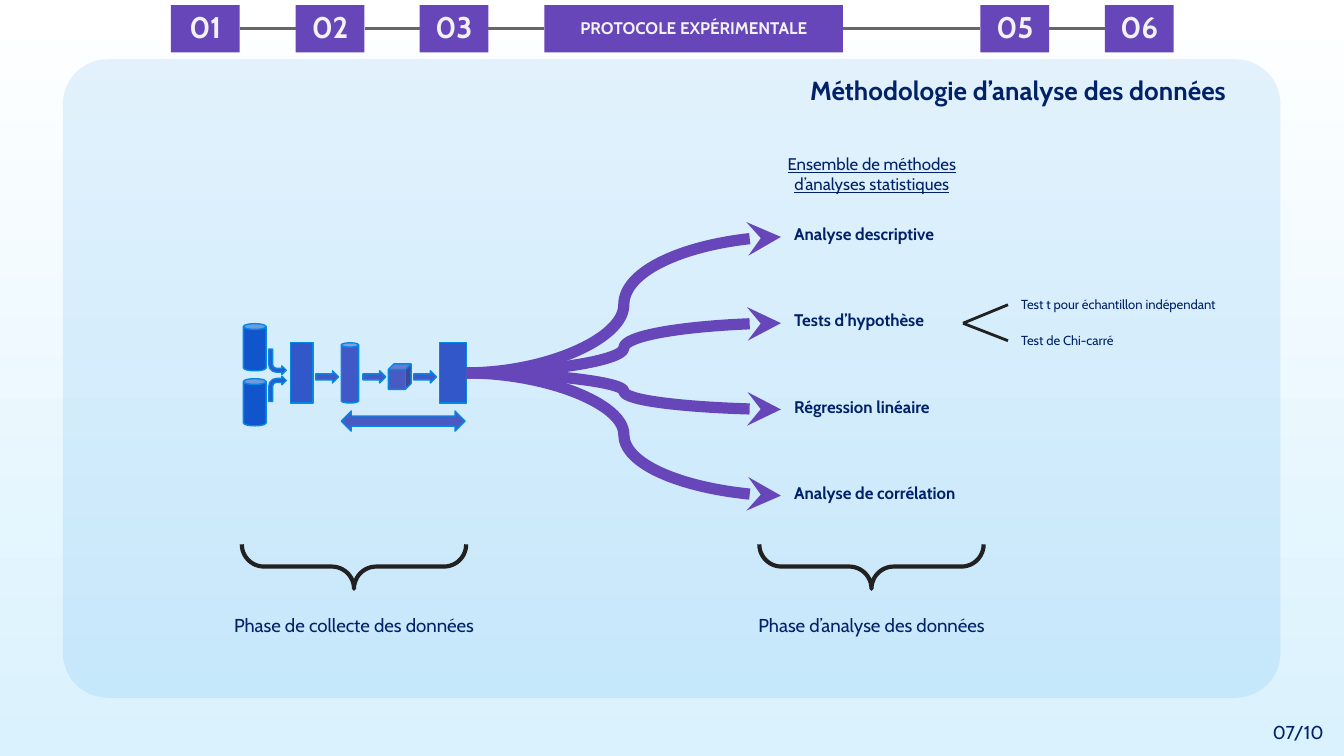
from lxml import etree
from pptx import Presentation
from pptx.dml.color import RGBColor
from pptx.enum.shapes import MSO_CONNECTOR, MSO_SHAPE
from pptx.enum.text import MSO_ANCHOR, PP_ALIGN
from pptx.oxml.ns import qn
from pptx.util import Cm, Pt

STRAIGHT, CURVE = MSO_CONNECTOR.STRAIGHT, MSO_CONNECTOR.CURVE
RECT, CAN, CUBE = MSO_SHAPE.RECTANGLE, MSO_SHAPE.CAN, MSO_SHAPE.CUBE
ROUNDED, BRACE = MSO_SHAPE.ROUNDED_RECTANGLE, MSO_SHAPE.RIGHT_BRACE
BENT, ARROW, DOUBLE = MSO_SHAPE.BENT_ARROW, MSO_SHAPE.RIGHT_ARROW, MSO_SHAPE.LEFT_RIGHT_ARROW
LEFT, CENTER = PP_ALIGN.LEFT, PP_ALIGN.CENTER
TOP, MIDDLE = MSO_ANCHOR.TOP, MSO_ANCHOR.MIDDLE
NAVY, PURPLE, BLACK, GREY = "012169", "6746B9", "212121", "666666"
BLUE, INDIGO, VIOLET = "3157C9", "4059C6", "495BC3"
color = RGBColor.from_string


def write(box, text, size, bold=False, align=LEFT, anchor=MIDDLE, ink=NAVY):
    frame = box.text_frame
    frame.text = text
    frame.word_wrap = True
    frame.vertical_anchor = anchor
    frame.margin_left = frame.margin_right = Cm(0.25)
    frame.margin_top = frame.margin_bottom = Cm(0.25)
    para = frame.paragraphs[0]
    para.alignment = align
    font = para.runs[0].font
    font.name, font.size, font.bold = "Cabin", Pt(size), bold
    font.color.rgb = color(ink)
    return para


def draw_line(kind, left, top, right, bottom, ink, width, head=None):
    line = slide.shapes.add_connector(kind, Cm(left), Cm(top), Cm(right), Cm(bottom))
    line.line.color.rgb = color(ink)
    line.line.width = Pt(width)
    properties = line.element.spPr
    if head:
        etree.SubElement(properties.find(qn("a:ln")), qn("a:tailEnd"), type=head)
    etree.SubElement(properties, qn("a:effectLst"))
    return line


deck = Presentation()
deck.slide_width, deck.slide_height = Cm(25.4), Cm(14.29)
slide = deck.slides.add_slide(deck.slide_layouts[6])

backdrop = slide.background.fill
backdrop.gradient()
backdrop.gradient_angle = 270
for stop, position, shade in zip(backdrop.gradient_stops, (0, 1), ("FFFFFF", "DAF2FE")):
    stop.position = position
    stop.color.rgb = color(shade)

panel = slide.shapes.add_shape(ROUNDED, Cm(1.19), Cm(1.12), Cm(23.01), Cm(12.07))
panel.shadow.inherit = False
panel.adjustments[0] = 0.07
panel.fill.solid()
panel.fill.fore_color.rgb = color("0388E5")
panel.line.fill.background()
etree.SubElement(panel.element.spPr.find(".//" + qn("a:srgbClr")), qn("a:alpha"), val="10000")

pipeline = [
    (CAN, 4.6, 6.12, 0.43, 0.89, "1155CC"),
    (CAN, 4.6, 7.16, 0.43, 0.89, "1155CC"),
    (RECT, 5.49, 6.48, 0.43, 1.14, BLUE),
    (BENT, 5.08, 7.11, 0.33, 0.48, BLUE),
    (BENT, 5.08, 6.6, 0.33, 0.48, BLUE),
    (ARROW, 5.97, 7.01, 0.43, 0.23, INDIGO),
    (CAN, 6.45, 6.48, 0.33, 1.14, INDIGO),
    (ARROW, 6.86, 7.01, 0.43, 0.23, INDIGO),
    (CUBE, 7.34, 6.88, 0.43, 0.48, VIOLET),
    (ARROW, 7.82, 7.01, 0.43, 0.23, INDIGO),
    (RECT, 8.31, 6.48, 0.51, 1.14, BLUE),
    (DOUBLE, 6.45, 7.77, 2.34, 0.38, VIOLET),
]
for kind, left, top, width, height, shade in pipeline:
    step = slide.shapes.add_shape(kind, Cm(left), Cm(top), Cm(width), Cm(height))
    step.shadow.inherit = False
    step.fill.solid()
    step.fill.fore_color.rgb = color(shade)
    step.line.color.rgb = color("0388E5")
    step.line.width = Pt(0.75)
    if kind == BENT:
        for index, value in enumerate((0.23, 0.25, 0.25, 0.44)):
            step.adjustments[index] = value
        if top < 7:
            step.rotation = 180
            step.element.spPr.find(qn("a:xfrm")).set("flipH", "1")

methods = ["Analyse descriptive", "Tests d’hypothèse", "Régression linéaire", "Analyse de corrélation"]
for index, method in enumerate(methods):
    top = 4.04 + 1.63 * index
    box = slide.shapes.add_textbox(Cm(14.76), Cm(top), Cm(4.04), Cm(0.89))
    write(box, method, 9, bold=True, anchor=TOP)
    draw_line(CURVE, 8.82, 7.05, 14.76, top + 0.44, PURPLE, 6, "stealth")

for test, middle in (("Test t pour échantillon indépendant", 5.76), ("Test de Chi-carré", 6.44)):
    box = slide.shapes.add_textbox(Cm(19.05), Cm(middle - 0.24), Cm(4.57), Cm(0.48))
    write(box, test, 7)
    draw_line(STRAIGHT, 18.2, 6.11, 19.05, middle, BLACK, 1.5)

for phase, center in (("Phase de collecte des données", 6.69), ("Phase d’analyse des données", 16.47)):
    brace = slide.shapes.add_shape(BRACE, Cm(center - 0.42), Cm(8.59), Cm(0.84), Cm(4.24))
    brace.shadow.inherit = False
    brace.rotation = 90
    brace.adjustments[0] = brace.adjustments[1] = 0.5
    brace.fill.background()
    brace.line.color.rgb = color(BLACK)
    brace.line.width = Pt(2.25)
    box = slide.shapes.add_textbox(Cm(center - 2.78), Cm(11.35), Cm(5.56), Cm(0.94))
    write(box, phase, 10, align=CENTER)

title = slide.shapes.add_textbox(Cm(15.06), Cm(1.3), Cm(9.17), Cm(0.79))
write(title, "Méthodologie d’analyse des données", 14, bold=True)
heading = slide.shapes.add_textbox(Cm(14.15), Cm(2.82), Cm(4.65), Cm(0.94))
para = write(heading, "Ensemble de méthodes d’analyses statistiques", 9, align=CENTER)
para.runs[0].font.underline = True
page_number = slide.shapes.add_textbox(Cm(23.67), Cm(13.39), Cm(1.73), Cm(0.89))
write(page_number, "07/10", 10, align=CENTER)

sections = [
    ("01", 3.23, 1.3, 16),
    ("02", 5.59, 1.3, 16),
    ("03", 7.93, 1.3, 16),
    ("PROTOCOLE EXPÉRIMENTALE", 10.29, 5.64, 9),
    ("05", 18.53, 1.3, 16),
    ("06", 20.88, 1.3, 16),
]
previous = None
for label, left, width, size in sections:
    tab = slide.shapes.add_shape(RECT, Cm(left), Cm(0.1), Cm(width), Cm(0.89))
    tab.shadow.inherit = False
    tab.fill.solid()
    tab.fill.fore_color.rgb = color(PURPLE)
    tab.line.fill.background()
    write(tab, label, size, bold=True, align=CENTER, ink="F2F2F2").line_spacing = 0.9
    if previous:
        link = draw_line(STRAIGHT, 0, 0, left, 0.55, GREY, 1.5)
        link.begin_connect(previous, 3)
        link.end_connect(tab, 1)
    previous = tab

deck.save("out.pptx")
